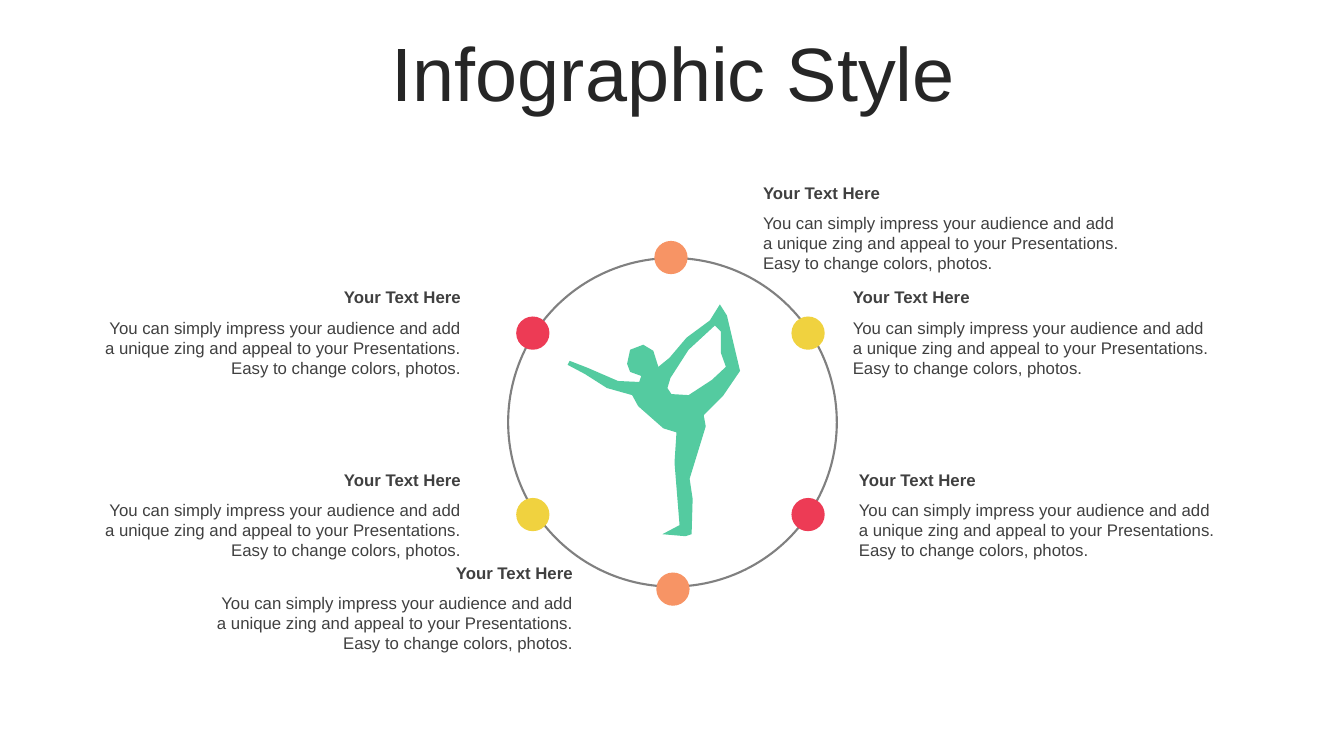
from dataclasses import dataclass

from pptx import Presentation
from pptx.dml.color import RGBColor
from pptx.enum.shapes import MSO_SHAPE
from pptx.enum.text import MSO_ANCHOR, MSO_AUTO_SIZE, PP_ALIGN
from pptx.util import Inches, Pt

OVAL = MSO_SHAPE.OVAL
LEFT, CENTER, RIGHT = PP_ALIGN.LEFT, PP_ALIGN.CENTER, PP_ALIGN.RIGHT
MIDDLE = MSO_ANCHOR.MIDDLE
FIT_SHAPE = MSO_AUTO_SIZE.SHAPE_TO_FIT_TEXT


@dataclass(frozen=True)
class Theme:
    font: str = "Arial"
    title_size: int = 54
    text_size: int = 12
    title: str = "262626"
    text: str = "404040"
    ring: str = "808080"
    orange: str = "F79465"
    red: str = "ED3B55"
    yellow: str = "F0D23F"
    figure: str = "54CBA0"


THEME = Theme()

HEADING = "Your Text Here"
BODY = ("You can simply impress your audience and add a unique zing and appeal "
        "to your Presentations. Easy to change colors, photos.")
NOTE_WIDTH, HEADING_HEIGHT, BODY_HEIGHT = 3.74, 0.3, 0.71
UPPER_NOTE, LOWER_NOTE = 2.8, 4.61
DOT_SIZE = 0.33
DOT_LEFT, DOT_RIGHT, DOT_UPPER, DOT_LOWER = 5.12, 7.85, 3.14, 4.94

# Left, top and alignment of each note
NOTES = [
    (7.47, 1.76, LEFT), (8.36, UPPER_NOTE, LEFT), (8.42, LOWER_NOTE, LEFT),
    (0.93, UPPER_NOTE, RIGHT), (0.93, LOWER_NOTE, RIGHT), (2.04, 5.53, RIGHT),
]

# Left, top and colour of each dot on the ring
DOTS = [
    (6.49, 2.39, THEME.orange), (6.51, 5.68, THEME.orange),
    (DOT_RIGHT, DOT_LOWER, THEME.red), (DOT_RIGHT, DOT_UPPER, THEME.yellow),
    (DOT_LEFT, DOT_LOWER, THEME.yellow), (DOT_LEFT, DOT_UPPER, THEME.red),
]

# Outlines of the dancer, in hundredths of an inch
BODY_OUTLINE = [
    (680, 532), (657, 530), (674, 521), (669, 459), (671, 429), (658, 425),
    (633, 403), (627, 392), (602, 385), (580, 371), (563, 362), (565, 358),
    (583, 365), (613, 378), (634, 379), (636, 373), (625, 369), (622, 361),
    (625, 347), (638, 342), (648, 348), (653, 364), (664, 355), (681, 335),
    (704, 318), (714, 302), (721, 313), (734, 368), (717, 393), (698, 412),
    (700, 423), (684, 475), (687, 495), (686, 530),
]
GAP_OUTLINE = [
    (709, 323), (683, 347), (665, 375), (662, 385), (666, 391), (683, 392),
    (706, 377), (720, 364), (715, 350), (715, 329),
]


def color(value):
    return RGBColor.from_string(value)


def add_text(page, area, text, align, size, tint, bold=False):
    box = page.shapes.add_textbox(*(Inches(length) for length in area))
    box.text_frame.word_wrap = True
    para = box.text_frame.paragraphs[0]
    para.text = text
    para.alignment = align
    para.font.name = THEME.font
    para.font.size = Pt(size)
    para.font.bold = bold
    para.font.color.rgb = color(tint)
    return box.text_frame


def add_title(page, text):
    frame = add_text(page, (0.35, 0.37, 12.66, 0.79), text, CENTER,
                     THEME.title_size, THEME.title)
    frame.vertical_anchor = MIDDLE
    frame.paragraphs[0].line_spacing = 0.9


def add_note(page, left, top, align):
    parts = [(top, HEADING_HEIGHT, HEADING, True),
             (top + HEADING_HEIGHT, BODY_HEIGHT, BODY, False)]
    for part_top, height, text, bold in parts:
        frame = add_text(page, (left, part_top, NOTE_WIDTH, height), text,
                         align, THEME.text_size, THEME.text, bold)
        frame.auto_size = FIT_SHAPE


def add_circle(page, left, top, size):
    circle = page.shapes.add_shape(OVAL, Inches(left), Inches(top),
                                   Inches(size), Inches(size))
    circle.shadow.inherit = False
    return circle


def add_ring(page):
    ring = add_circle(page, 5.04, 2.56, 3.26)
    ring.fill.background()
    ring.line.color.rgb = color(THEME.ring)
    ring.line.width = Pt(1.5)


def fill_plain(shape, tint):
    shape.fill.solid()
    shape.fill.fore_color.rgb = color(tint)
    shape.line.fill.background()


def add_dancer(page):
    builder = page.shapes.build_freeform(*BODY_OUTLINE[0],
                                         scale=Inches(1) / 100)
    builder.add_line_segments(BODY_OUTLINE[1:], close=True)
    builder.move_to(*GAP_OUTLINE[0])
    builder.add_line_segments(GAP_OUTLINE[1:], close=True)
    dancer = builder.convert_to_shape()
    dancer.shadow.inherit = False
    fill_plain(dancer, THEME.figure)


def main():
    deck = Presentation()
    deck.slide_width, deck.slide_height = Inches(13.33), Inches(7.5)
    page = deck.slides.add_slide(deck.slide_layouts[6])

    # Title and notes
    add_title(page, "Infographic Style")
    for left, top, align in NOTES:
        add_note(page, left, top, align)

    # Ring with dots
    add_ring(page)
    for left, top, tint in DOTS:
        fill_plain(add_circle(page, left, top, DOT_SIZE), tint)

    # Figure in the middle
    add_dancer(page)
    deck.save("out.pptx")


if __name__ == "__main__":
    main()
